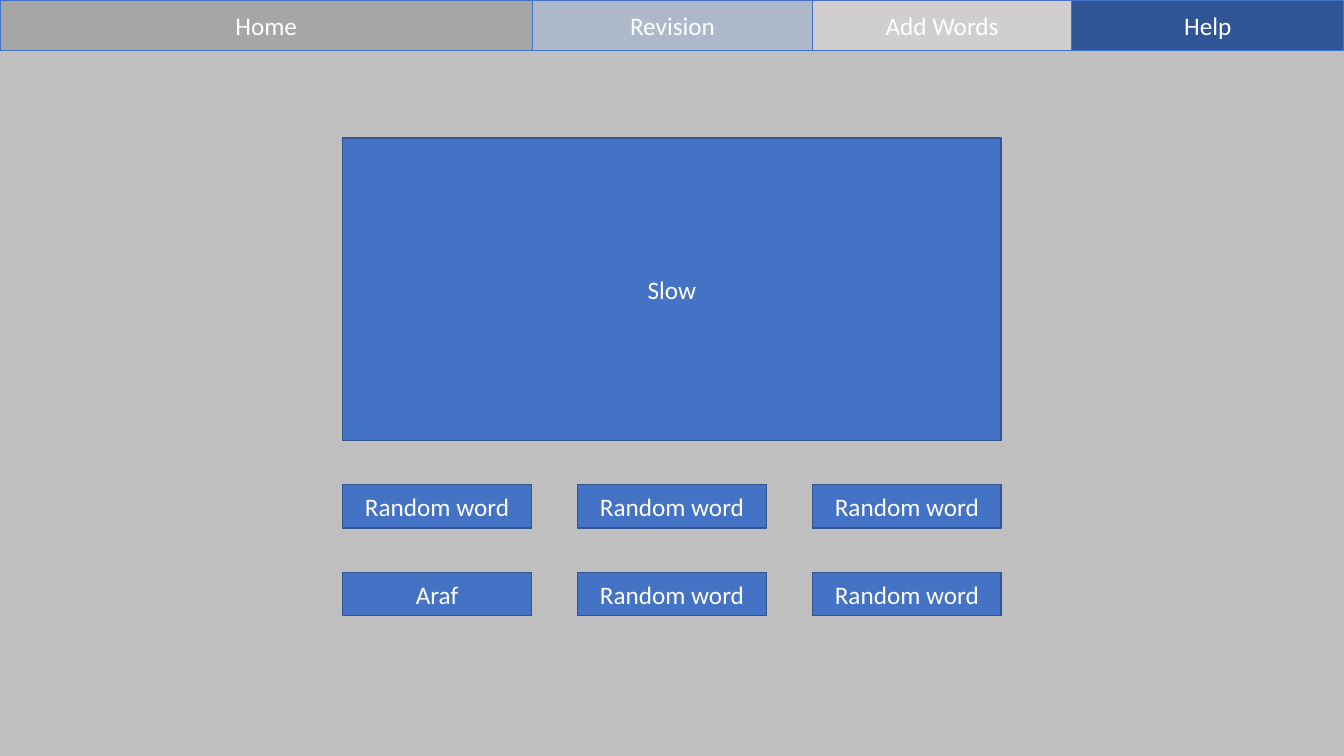
from dataclasses import dataclass
from itertools import accumulate

from pptx import Presentation
from pptx.dml.color import RGBColor
from pptx.enum.shapes import MSO_SHAPE
from pptx.enum.text import MSO_ANCHOR, PP_ALIGN
from pptx.util import Inches, Pt

MENU = [
    ("Home", 5.28, "A6A6A6"),
    ("Revision", 2.78, "ADB9CA"),
    ("Add Words", 2.57, "D0CECE"),
    ("Help", 2.7, "2F5597"),
]
PROMPT = "Slow"
ANSWERS = [
    ["Random word", "Random word", "Random word"],
    ["Araf", "Random word", "Random word"],
]


@dataclass(frozen=True)
class Theme:
    background: str = "BFBFBF"
    panel: str = "4472C4"
    menu_border: str = "4472C4"
    panel_border: str = "325491"
    text: str = "FFFFFF"
    font: str = "Calibri"
    size: int = 18
    border_width: int = 1


THEME = Theme()
SLIDE_WIDTH, SLIDE_HEIGHT = 13.33, 7.5
MENU_HEIGHT = 0.5
CARD_WIDTH, CARD_HEIGHT = 6.53, 3
CARD_LEFT, CARD_TOP = (SLIDE_WIDTH - CARD_WIDTH) / 2, 1.37
ANSWER_WIDTH, ANSWER_HEIGHT = 1.87, 0.43
ROW_GAP = 0.44
COLUMN_STEP = (CARD_WIDTH - ANSWER_WIDTH) / (len(ANSWERS[0]) - 1)
ROW_STEP = ANSWER_HEIGHT + ROW_GAP
ANSWERS_TOP = CARD_TOP + CARD_HEIGHT + ROW_GAP


def add_button(slide, label, left, top, width, height, fill, border):
    button = slide.shapes.add_shape(
        MSO_SHAPE.RECTANGLE, *map(Inches, (left, top, width, height)))
    button.shadow.inherit = False
    button.fill.solid()
    button.fill.fore_color.rgb = RGBColor.from_string(fill)
    button.line.color.rgb = RGBColor.from_string(border)
    button.line.width = Pt(THEME.border_width)
    button.text_frame.text = label
    button.text_frame.vertical_anchor = MSO_ANCHOR.MIDDLE
    paragraph = button.text_frame.paragraphs[0]
    paragraph.alignment = PP_ALIGN.CENTER
    font = paragraph.runs[0].font
    font.name = THEME.font
    font.size = Pt(THEME.size)
    font.color.rgb = RGBColor.from_string(THEME.text)


def main():
    deck = Presentation()
    deck.slide_width, deck.slide_height = Inches(SLIDE_WIDTH), Inches(SLIDE_HEIGHT)
    slide = deck.slides.add_slide(deck.slide_layouts[6])
    slide.background.fill.solid()
    slide.background.fill.fore_color.rgb = RGBColor.from_string(THEME.background)

    menu_lefts = accumulate((width for _, width, _ in MENU), initial=0)
    for (label, width, fill), left in zip(MENU, menu_lefts):
        add_button(slide, label, left, 0, width, MENU_HEIGHT, fill, THEME.menu_border)

    add_button(slide, PROMPT, CARD_LEFT, CARD_TOP, CARD_WIDTH, CARD_HEIGHT,
               THEME.panel, THEME.panel_border)

    for row, words in enumerate(ANSWERS):
        for column, word in enumerate(words):
            add_button(slide, word,
                       CARD_LEFT + column * COLUMN_STEP, ANSWERS_TOP + row * ROW_STEP,
                       ANSWER_WIDTH, ANSWER_HEIGHT, THEME.panel, THEME.panel_border)

    deck.save("out.pptx")


if __name__ == "__main__":
    main()
